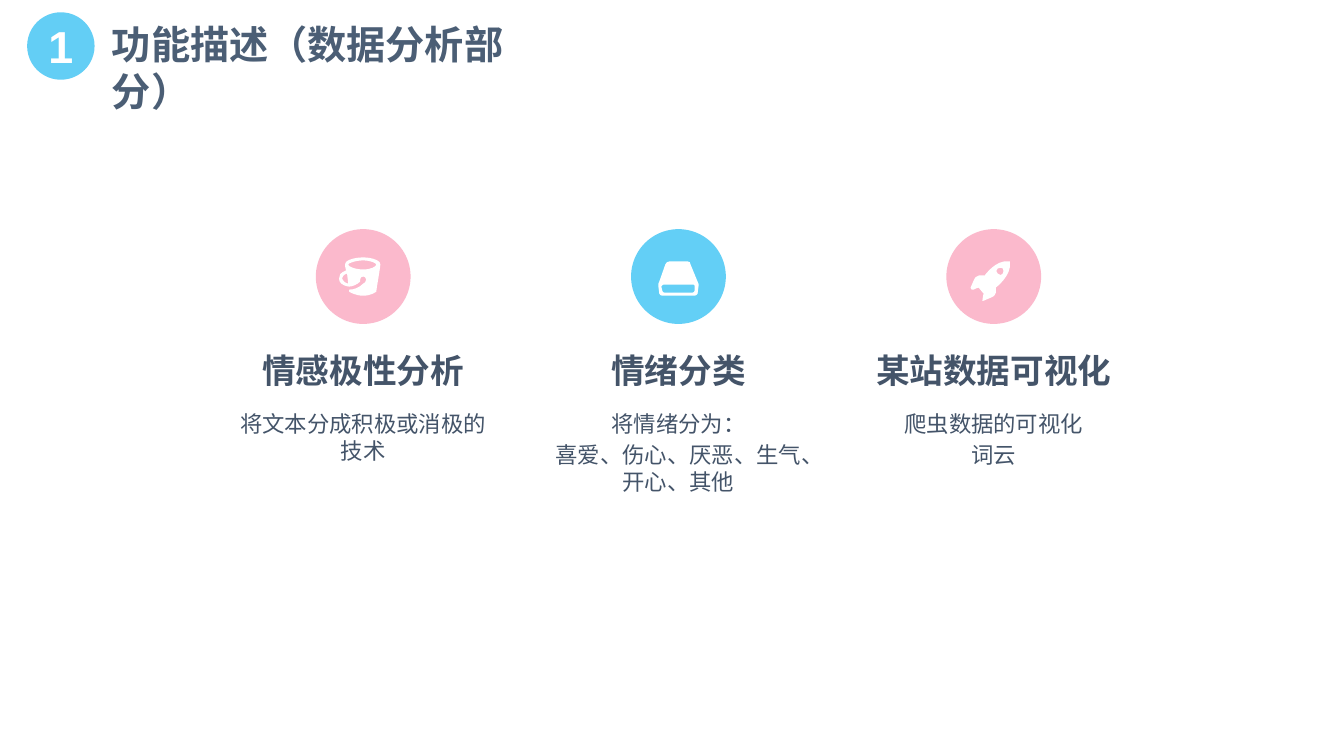
from lxml import etree
from pptx import Presentation
from pptx.dml.color import RGBColor
from pptx.enum import shapes, text
from pptx.oxml import ns
from pptx.util import Pt

PINK = RGBColor(0xFB, 0xB9, 0xCC)
BLUE = RGBColor(0x63, 0xCF, 0xF6)
DEEP_BLUE = RGBColor(0x00, 0xB0, 0xF0)
WHITE = RGBColor(0xFF, 0xFF, 0xFF)
SLATE = RGBColor(0x44, 0x54, 0x69)
TITLE_SLATE = RGBColor(0x4B, 0x5E, 0x75)

CIRCLE = 67.7
ICON_UNIT = 0.72

CUP = [
    [(47, 28), (36, 28, 28, 32, 29, 35), (29, 36, 29, 38, 30, 41),
     (24, 43, 23, 46, 23, 49), (23, 53, 26, 56, 33, 57),
     (36, 57, 41, 55, 44, 52), (44, 50), (44, 48, 45, 47, 47, 47),
     (48, 47, 50, 48, 50, 50), (50, 52, 48, 54, 47, 54),
     (43, 58, 38, 60, 33, 60), (33, 62), (33, 62, 39, 66, 47, 66),
     (55, 66, 60, 62, 60, 62), (60, 60, 64, 38, 64, 35),
     (65, 32, 57, 28, 47, 28)],
    [(26, 49), (26, 48, 27, 45, 31, 44), (31, 47, 32, 50, 32, 54),
     (28, 53, 27, 51, 26, 49)],
    [(47, 40), (39, 40, 32, 37, 32, 35), (32, 34, 39, 31, 47, 31),
     (55, 31, 60, 34, 60, 35), (60, 37, 55, 40, 47, 40)],
]
DRIVE = [
    [(66, 52), (59, 35), (59, 33, 58, 32, 56, 32), (38, 32),
     (36, 32, 35, 33, 34, 35), (28, 52), (27, 53, 27, 55, 27, 56),
     (28, 64), (28, 65, 30, 66, 31, 66), (63, 66),
     (64, 66, 66, 65, 66, 64), (67, 56), (67, 55, 67, 53, 66, 52)],
    [(63, 57), (63, 61), (63, 62, 62, 63, 61, 63), (33, 63),
     (32, 63, 31, 62, 31, 61), (30, 57), (30, 57, 31, 55, 32, 55),
     (62, 55), (63, 55, 64, 57, 63, 57)],
]
ROCKET = [
    [(49, 58), (49, 58, 65, 46, 63, 33), (63, 32), (62, 32),
     (49, 30, 38, 46, 38, 46), (28, 45, 29, 47, 24, 58),
     (24, 60, 25, 60, 27, 60), (28, 59, 32, 58, 32, 58), (37, 64),
     (37, 64, 36, 67, 36, 69), (35, 71, 36, 72, 37, 71),
     (48, 66, 50, 67, 49, 58)],
    [(51, 44), (49, 42, 49, 41, 51, 39), (53, 38, 55, 38, 56, 39),
     (57, 41, 57, 42, 56, 44), (55, 46, 53, 46, 51, 44)],
]

FEATURES = [
    (PINK, CUP, "情感极性分析", ["将文本分成积极或消极的技术"]),
    (BLUE, DRIVE, "情绪分类", ["将情绪分为：", "喜爱、伤心、厌恶、生气、开心、其他"]),
    (PINK, ROCKET, "某站数据可视化", ["爬虫数据的可视化", "词云"]),
]


def paint(sp, color):
    sp.shadow.inherit = False
    sp.fill.solid()
    sp.fill.fore_color.rgb = color
    sp.line.fill.background()


def add_circle(slide, x, y, size, color):
    sp = slide.shapes.add_shape(
        shapes.MSO_SHAPE.OVAL, Pt(x), Pt(y), Pt(size), Pt(size))
    paint(sp, color)
    return sp


def write(tf, lines, size, color, bold, align):
    tf.word_wrap = True
    tf.auto_size = text.MSO_AUTO_SIZE.NONE
    for i, line in enumerate(lines):
        p = tf.add_paragraph() if i else tf.paragraphs[0]
        p.alignment = align
        p.space_before = Pt(size * 0.2 if i else 0)
        r = p.add_run()
        r.text = line
        r.font.name = "Arial"
        r.font.size = Pt(size)
        r.font.bold = bold
        r.font.color.rgb = color


def clear_margins(tf):
    tf.margin_left = tf.margin_right = tf.margin_top = tf.margin_bottom = 0


def bend_curves(sp, contours):
    lines = iter(list(sp.element.iter(ns.qn("a:lnTo"))))
    for contour in contours:
        for segment in contour[1:]:
            first = next(lines)
            if len(segment) == 6:
                first.tag = ns.qn("a:cubicBezTo")
                for extra in (next(lines), next(lines)):
                    first.append(extra[0])
                    extra.getparent().remove(extra)


def add_icon(slide, x, y, contours):
    builder = None
    for contour in contours:
        points = [(Pt(segment[k] * ICON_UNIT), Pt(segment[k + 1] * ICON_UNIT))
                  for segment in contour for k in range(0, len(segment), 2)]
        if builder is None:
            builder = slide.shapes.build_freeform(*points[0], scale=1.0)
        else:
            builder.move_to(*points[0])
        builder.add_line_segments(points[1:], close=True)
    sp = builder.convert_to_shape(Pt(x), Pt(y))
    bend_curves(sp, contours)
    paint(sp, WHITE)


def add_text(slide, x, y, w, h, lines, size, bold):
    tf = slide.shapes.add_textbox(Pt(x), Pt(y), Pt(w), Pt(h)).text_frame
    clear_margins(tf)
    write(tf, lines, size, SLATE, bold, text.PP_ALIGN.CENTER)


def add_header(slide, x, y, number, heading):
    badge = add_circle(slide, x, y, 48.2, DEEP_BLUE)
    color = badge.fill._xPr.find(".//" + ns.qn("a:srgbClr"))
    etree.SubElement(color, ns.qn("a:alpha"), val="61000")
    tf = badge.text_frame
    clear_margins(tf)
    tf.vertical_anchor = text.MSO_ANCHOR.MIDDLE
    write(tf, [number], 32, WHITE, True, text.PP_ALIGN.CENTER)

    title = slide.shapes.title
    title.left, title.top = Pt(x + 53.3), Pt(y + 2)
    title.width, title.height = Pt(339), Pt(41)
    title.text_frame.vertical_anchor = text.MSO_ANCHOR.TOP
    write(title.text_frame, [heading], 28, TITLE_SLATE, True, text.PP_ALIGN.LEFT)


def add_feature(slide, x, y, w, color, icon, heading, lines):
    circle_x = x + (w - CIRCLE) / 2
    add_circle(slide, circle_x, y, CIRCLE, color)
    add_icon(slide, circle_x, y, icon)
    add_text(slide, x, y + 86.2, w, 29, [heading], 24, True)
    add_text(slide, x, y + 129.3, w, 19.4 * (len("".join(lines)) // 11 + 1),
             lines, 16, False)


def main():
    prs = Presentation()
    prs.slide_width, prs.slide_height = Pt(960), Pt(540)
    slide = prs.slides.add_slide(prs.slide_layouts[5])
    add_header(slide, 19.4, 8.8, "1", "功能描述（数据分析部分）")
    for i, feature in enumerate(FEATURES):
        add_feature(slide, 167.3 + i * 225.2, 163.7, 184.3, *feature)
    prs.save("out.pptx")


if __name__ == "__main__":
    main()
